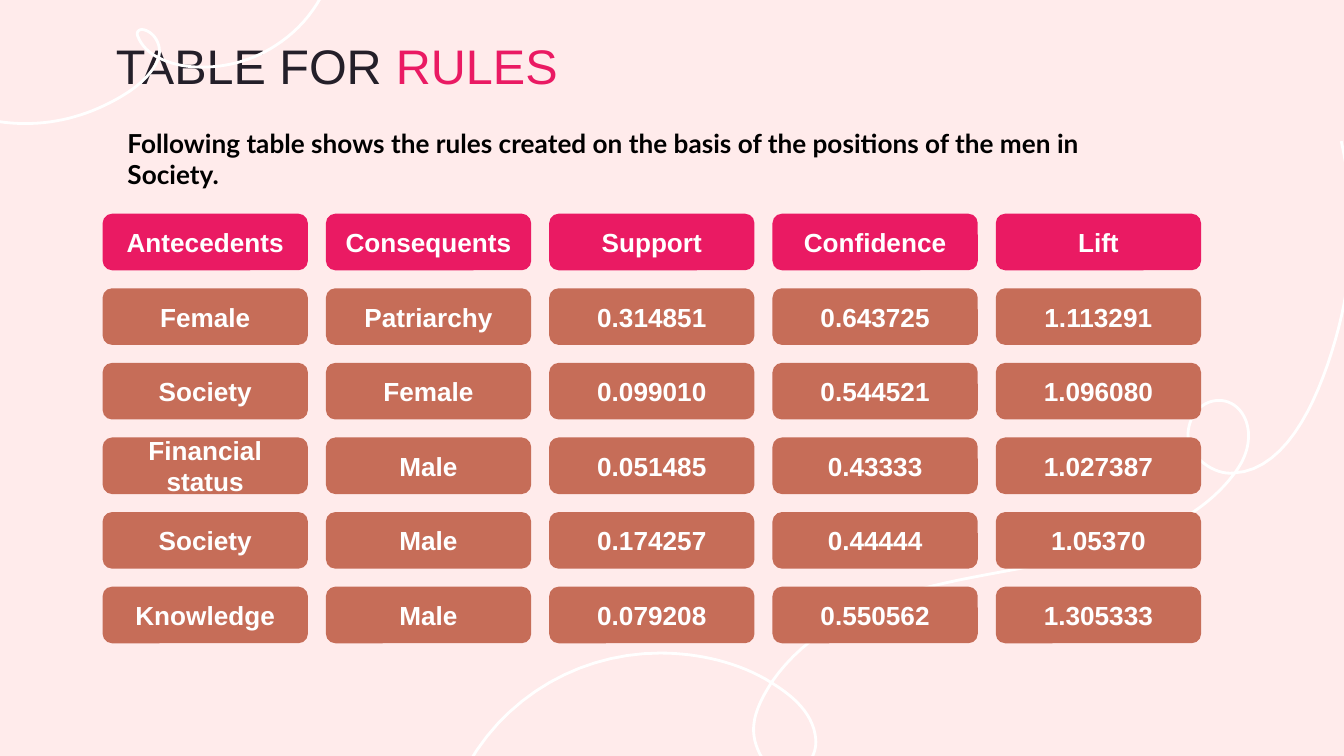
import pptx
import pptx.dml.color
import pptx.enum.shapes
import pptx.enum.text
import pptx.util

Cm = pptx.util.Cm

TITLE = (("TABLE FOR ", "dark"), ("RULES", "pink"))
INTRODUCTION = ("Following table shows the rules created on the basis of "
                "the positions of the men in Society.")
RULES = [
    ("Antecedents", "Consequents", "Support", "Confidence", "Lift"),
    ("Female", "Patriarchy", "0.314851", "0.643725", "1.113291"),
    ("Society", "Female", "0.099010", "0.544521", "1.096080"),
    ("Financial status", "Male", "0.051485", "0.43333", "1.027387"),
    ("Society", "Male", "0.174257", "0.44444", "1.05370"),
    ("Knowledge", "Male", "0.079208", "0.550562", "1.305333"),
]
COLOURS = {"background": "FFEBEB", "white": "FFFFFF", "black": "000000",
           "dark": "241F29", "pink": "EA1A63", "clay": "C66D58"}

# Each swirl is a start point, then two control points and an end point per curve.
SWIRL_UNIT = 2.54
SWIRLS = [
    [(9.98, 1.05),
     (10.08, 1.5), (10.08, 1.98), (9.96, 2.44),
     (9.84, 2.9), (9.6, 3.5), (9.18, 3.52),
     (9.04, 3.54), (8.83, 3.4), (8.84, 3.22),
     (8.85, 3.08), (8.95, 2.98), (9.07, 2.98),
     (9.2, 2.98), (9.29, 3.1), (9.29, 3.24),
     (9.29, 3.36), (9.24, 3.45), (9.18, 3.53),
     (9.0, 3.77), (8.7, 3.95), (8.34, 4.06),
     (7.88, 4.2), (7.4, 4.25), (6.94, 4.36),
     (6.45, 4.48), (6.0, 4.7), (5.74, 5.08),
     (5.64, 5.24), (5.56, 5.4), (5.64, 5.58),
     (5.68, 5.68), (5.77, 5.76), (5.88, 5.75),
     (6.0, 5.74), (6.08, 5.62), (6.07, 5.5),
     (6.05, 5.28), (5.85, 5.15), (5.74, 5.08),
     (5.5, 4.93), (5.2, 4.86), (4.91, 4.86),
     (4.25, 4.86), (3.62, 5.26), (3.37, 5.93)],
    [(2.5, -0.39),
     (2.47, -0.08), (2.3, 0.18), (2.05, 0.34),
     (1.88, 0.45), (1.69, 0.5), (1.5, 0.5),
     (1.39, 0.5), (1.28, 0.48), (1.18, 0.43),
     (1.12, 0.4), (1.06, 0.35), (1.03, 0.28),
     (1.01, 0.24), (1.03, 0.22), (1.06, 0.22),
     (1.14, 0.23), (1.21, 0.33), (1.18, 0.43),
     (1.14, 0.55), (1.02, 0.65), (0.9, 0.72),
     (0.68, 0.85), (0.44, 0.92), (0.19, 0.92),
     (-0.08, 0.92), (-0.35, 0.84), (-0.57, 0.68)],
]
CURVE_STEPS = 16

GRID_LEFT, GRID_TOP = 1.94, 4.04
COLUMN_STEP, ROW_STEP = 4.22, 1.41
CELL_WIDTH, CELL_HEIGHT = 3.88, 1.07


def colour(name):
    return pptx.dml.color.RGBColor.from_string(COLOURS[name])


def format_run(run, size, colour_name, font_name="Arial", bold=False):
    run.font.size = pptx.util.Pt(size)
    run.font.name = font_name
    run.font.bold = bold
    run.font.color.rgb = colour(colour_name)


def set_frame(text_frame, anchor):
    text_frame.word_wrap = True
    text_frame.auto_size = pptx.enum.text.MSO_AUTO_SIZE.NONE
    text_frame.vertical_anchor = anchor
    text_frame.margin_left = text_frame.margin_right = Cm(0.25)
    text_frame.margin_top = text_frame.margin_bottom = Cm(0.25)


def curve_points(swirl):
    """Return points along the chained cubic Bezier curves of a swirl."""
    points = [swirl[0]]
    for first in range(0, len(swirl) - 1, 3):
        controls = swirl[first:first + 4]
        for step in range(1, CURVE_STEPS + 1):
            t = step / CURVE_STEPS
            weights = ((1 - t) ** 3, 3 * t * (1 - t) ** 2, 3 * t * t * (1 - t), t ** 3)
            points.append(tuple(sum(weight * control[axis]
                                    for weight, control in zip(weights, controls))
                                for axis in (0, 1)))
    return [(Cm(x * SWIRL_UNIT), Cm(y * SWIRL_UNIT)) for x, y in points]


def add_swirl(slide, swirl):
    start, *others = curve_points(swirl)
    builder = slide.shapes.build_freeform(*start)
    builder.add_line_segments(others, close=False)
    shape = builder.convert_to_shape()
    shape.shadow.inherit = False
    shape.fill.background()
    shape.line.color.rgb = colour("white")
    shape.line.width = pptx.util.Pt(1.5)


def add_title(slide):
    title = slide.shapes.title
    title.left, title.top, title.width, title.height = Cm(1.94), Cm(0.43), Cm(21.51), Cm(1.52)
    set_frame(title.text_frame, pptx.enum.text.MSO_ANCHOR.TOP)
    paragraph = title.text_frame.paragraphs[0]
    paragraph.alignment = pptx.enum.text.PP_ALIGN.LEFT
    paragraph.line_spacing = 1.0
    for text, colour_name in TITLE:
        run = paragraph.add_run()
        run.text = text
        format_run(run, 26, colour_name)


def add_introduction(slide):
    box = slide.shapes.add_textbox(Cm(2.16), Cm(2.16), Cm(20.32), Cm(1.7))
    set_frame(box.text_frame, pptx.enum.text.MSO_ANCHOR.TOP)
    box.text_frame.text = INTRODUCTION
    format_run(box.text_frame.paragraphs[0].runs[0], 14, "black", "Lato", True)


def add_cell(group, row, column, text):
    cell = group.shapes.add_shape(
        pptx.enum.shapes.MSO_SHAPE.FLOWCHART_ALTERNATE_PROCESS,
        Cm(GRID_LEFT + column * COLUMN_STEP), Cm(GRID_TOP + row * ROW_STEP),
        Cm(CELL_WIDTH), Cm(CELL_HEIGHT))
    cell.shadow.inherit = False
    cell.fill.solid()
    cell.fill.fore_color.rgb = colour("clay" if row else "pink")
    cell.line.fill.background()
    set_frame(cell.text_frame, pptx.enum.text.MSO_ANCHOR.MIDDLE)
    cell.text_frame.text = text
    paragraph = cell.text_frame.paragraphs[0]
    paragraph.alignment = pptx.enum.text.PP_ALIGN.CENTER
    format_run(paragraph.runs[0], 14, "white", bold=True)


def main():
    presentation = pptx.Presentation()
    presentation.slide_width, presentation.slide_height = Cm(25.4), Cm(14.29)
    title_only = presentation.slide_layouts[5]
    slide = presentation.slides.add_slide(title_only)
    slide.background.fill.solid()
    slide.background.fill.fore_color.rgb = colour("background")

    for swirl in SWIRLS:
        add_swirl(slide, swirl)
    add_title(slide)
    for column, texts in enumerate(zip(*RULES)):
        group = slide.shapes.add_group_shape()
        for row, text in enumerate(texts):
            add_cell(group, row, column, text)
    add_introduction(slide)
    presentation.save("out.pptx")


if __name__ == "__main__":
    main()
